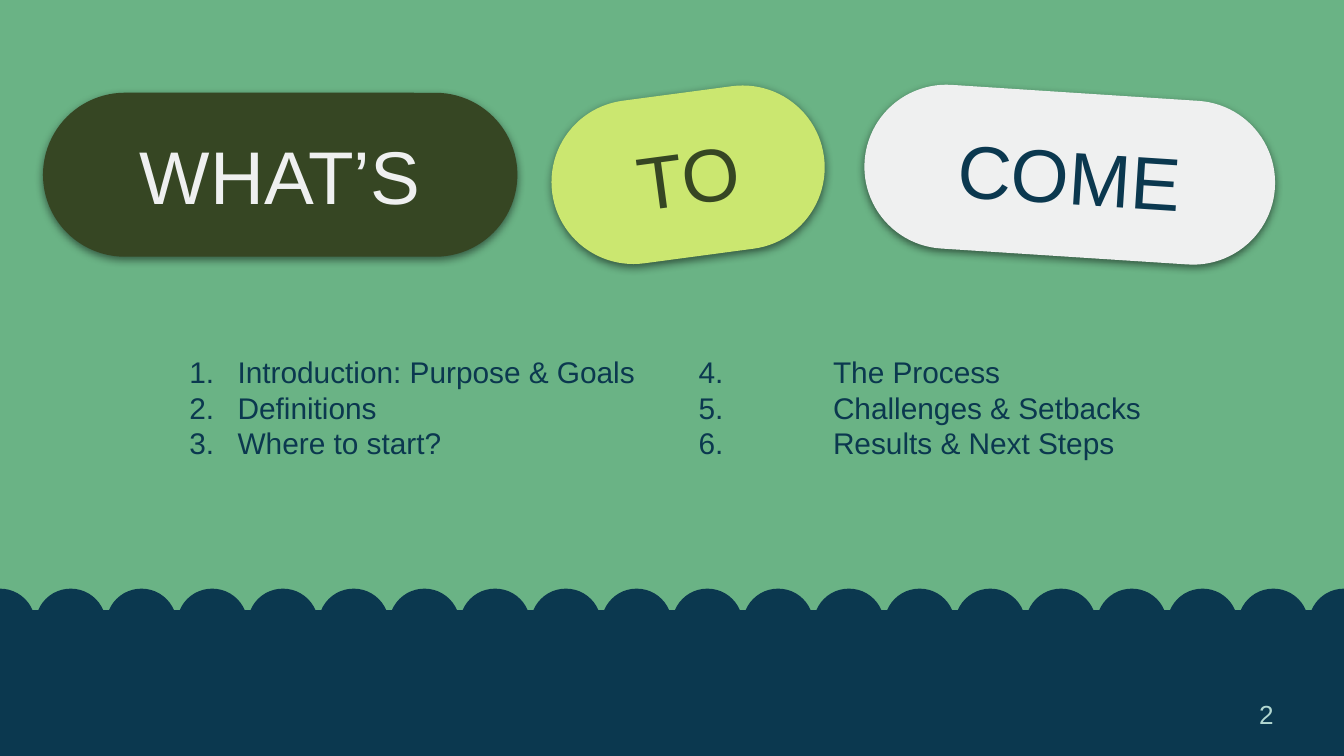
import pptx
import pptx.util
import pptx.dml.color
import pptx.enum.shapes
import pptx.enum.text
import pptx.oxml
import pptx.oxml.ns
from lxml import etree

Inches, Pt = pptx.util.Inches, pptx.util.Pt
RGBColor = pptx.dml.color.RGBColor
MSO_SHAPE = pptx.enum.shapes.MSO_SHAPE
ANCHOR = pptx.enum.text.MSO_ANCHOR
ALIGN = pptx.enum.text.PP_ALIGN
qn = pptx.oxml.ns.qn

GREEN = RGBColor(0x6A, 0xB3, 0x85)
NAVY = RGBColor(0x0B, 0x38, 0x4F)
OLIVE = RGBColor(0x36, 0x46, 0x23)
LIME = RGBColor(0xCB, 0xE7, 0x70)
PALE = RGBColor(0xEF, 0xF0, 0xF0)
MINT = RGBColor(0xB2, 0xD7, 0xD0)
FONT = "Arial"

# Content: word, left, width, rotation, fill, text colour
TITLE_PILLS = [
    ("TO", 4.1, 2.04, -7.6, LIME, OLIVE),
    ("WHAT’S", 0.32, 3.53, 0, OLIVE, PALE),
    ("COME", 6.43, 3.06, 3.7, PALE, NAVY),
]
FIRST_TOPICS = ["Introduction: Purpose & Goals", "Definitions", "Where to start?"]
LATER_TOPICS = ["4.\tThe Process", "5.\tChallenges & Setbacks", "6.\tResults & Next Steps"]
PAGE_NUMBER = "2"

# Layout in inches
WIDTH = 10
HEIGHT = WIDTH * 9 / 16
PILL_TOP, PILL_HEIGHT = 0.69, 1.22
LIST_TOP, LIST_WIDTH, LIST_HEIGHT = 2.53, 3.73, 0.53
LIST_LEFTS = (1.17, 5.1)
WAVE_COUNT = 20
WAVE_SIZE = WIDTH / (WAVE_COUNT - 1)
WAVE_TOP, SEA_TOP = 4.38, 4.54


def add_filled_shape(page, kind, left, top, width, height, color):
    shape = page.shapes.add_shape(
        kind, Inches(left), Inches(top), Inches(width), Inches(height))
    shape.shadow.inherit = False
    shape.fill.solid()
    shape.fill.fore_color.rgb = color
    shape.line.fill.background()
    return shape


def add_soft_shadow(shape):
    effects = shape._element.spPr.find(qn("a:effectLst"))
    shadow = etree.SubElement(
        effects, qn("a:outerShdw"), blurRad=str(Pt(4.5)), dist=str(Pt(1.5)),
        dir="5400000", algn="bl", rotWithShape="0")
    color = etree.SubElement(shadow, qn("a:srgbClr"), val="000000")
    etree.SubElement(color, qn("a:alpha"), val="50000")


def number_paragraph(para):
    properties = para._p.get_or_add_pPr()
    properties.set("marL", str(Inches(0.5)))
    properties.set("indent", str(Inches(-0.36)))
    bullet_color = etree.SubElement(properties, qn("a:buClr"))
    etree.SubElement(bullet_color, qn("a:srgbClr"), val=str(NAVY))
    etree.SubElement(properties, qn("a:buFont"), typeface=FONT)
    etree.SubElement(properties, qn("a:buAutoNum"), type="arabicPeriod")


def add_tab_stop(para):
    stops = etree.SubElement(para._p.get_or_add_pPr(), qn("a:tabLst"))
    etree.SubElement(stops, qn("a:tab"), pos=str(Inches(1)), algn="l")


def write_lines(shape, lines, size, color, anchor, align=ALIGN.LEFT,
                prepare=None):
    frame = shape.text_frame
    frame.word_wrap = True
    frame.vertical_anchor = anchor
    frame.margin_left = frame.margin_right = Inches(0.1)
    frame.margin_top = frame.margin_bottom = Inches(0.1)
    for index, line in enumerate(lines):
        para = frame.add_paragraph() if index else frame.paragraphs[0]
        if prepare:
            prepare(para)
        para.alignment = align
        span = para.add_run()
        span.text = line
        span.font.name = FONT
        span.font.size = Pt(size)
        span.font.color.rgb = color


def add_text(page, left, top, width, height, *text, **options):
    box = page.shapes.add_textbox(
        Inches(left), Inches(top), Inches(width), Inches(height))
    write_lines(box, *text, **options)


deck = pptx.Presentation()
deck.slide_width, deck.slide_height = Inches(WIDTH), Inches(HEIGHT)
page = deck.slides.add_slide(deck.slide_layouts[6])
page.background.fill.solid()
page.background.fill.fore_color.rgb = GREEN

# Scalloped sea along the bottom
for index in range(WAVE_COUNT):
    add_filled_shape(page, MSO_SHAPE.OVAL, (index - 0.5) * WAVE_SIZE, WAVE_TOP,
                     WAVE_SIZE, WAVE_SIZE, NAVY)
add_filled_shape(page, MSO_SHAPE.RECTANGLE, -0.07, SEA_TOP, 10.13, 1.15, NAVY)

# Page number
add_text(page, 9.27, 5.1, 0.6, 0.43, [PAGE_NUMBER], 14, MINT, ANCHOR.MIDDLE)

# Title words on pills
for word, left, width, rotation, fill, color in TITLE_PILLS:
    pill = add_filled_shape(page, MSO_SHAPE.ROUNDED_RECTANGLE, left, PILL_TOP,
                            width, PILL_HEIGHT, fill)
    pill.adjustments[0] = 0.5
    pill.rotation = rotation
    add_soft_shadow(pill)
    write_lines(pill, [word], 40, color, ANCHOR.MIDDLE, ALIGN.CENTER)

# Two columns of topics
for left, topics, prepare in zip(LIST_LEFTS, (FIRST_TOPICS, LATER_TOPICS),
                                 (number_paragraph, add_tab_stop)):
    add_text(page, left, LIST_TOP, LIST_WIDTH, LIST_HEIGHT, topics, 16, NAVY,
             ANCHOR.TOP, prepare=prepare)

deck.save("out.pptx")
